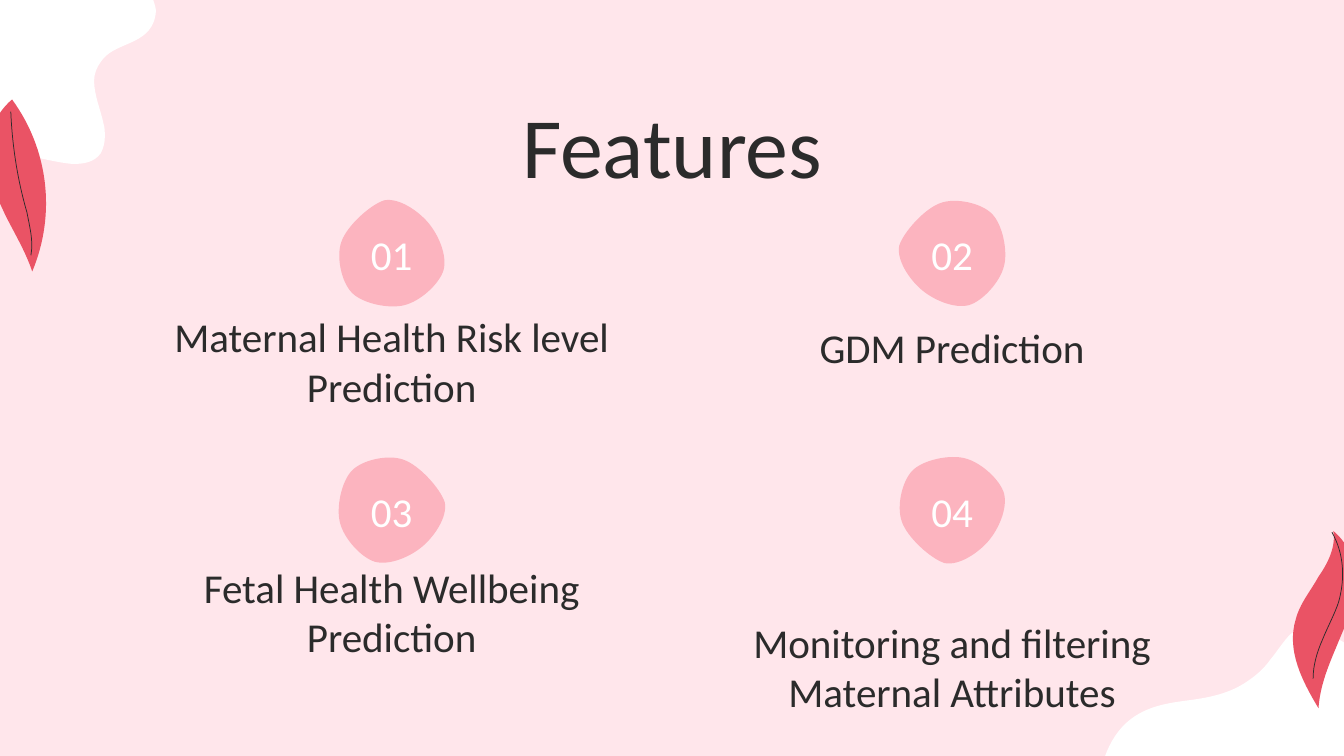
from math import cos, radians, sin

from lxml import etree
from pptx import Presentation, util as u
from pptx.dml.color import RGBColor
from pptx.enum import text
from pptx.oxml import ns

BLUSH = RGBColor(0xFF, 0xE6, 0xEB)
PINK = RGBColor(0xFC, 0xB4, 0xBF)
RED = RGBColor(0xEA, 0x53, 0x65)
INK = RGBColor(0x2B, 0x2B, 0x2B)
WHITE = RGBColor(0xFF, 0xFF, 0xFF)
INCH = 72

deck = Presentation()
deck.slide_width, deck.slide_height = u.Pt(720), u.Pt(405)
slide = deck.slides.add_slide(deck.slide_layouts[6])
slide.background.fill.solid()
slide.background.fill.fore_color.rgb = BLUSH


def draw_curve(parent, frame, angle, chain, fill=None, corners=()):
    left, top, width, height = [u.Pt(INCH * side) for side in frame]
    middle_x, middle_y = frame[0] + frame[2] / 2, frame[1] + frame[3] / 2
    turn_cos, turn_sin = cos(radians(angle)), sin(radians(angle))
    local = []
    for x, y in [*chain, *corners]:
        dx, dy = x - middle_x, y - middle_y
        local.append((u.Pt(INCH * (frame[2] / 2 + dx * turn_cos + dy * turn_sin)),
                      u.Pt(INCH * (frame[3] / 2 - dx * turn_sin + dy * turn_cos))))
    curves, lines = local[:len(chain)], local[len(chain):]
    builder = parent.shapes.build_freeform(*curves[0])
    builder.add_line_segments(curves[3::3] + lines, close=fill is not None)
    curve = builder.convert_to_shape()
    curve.left, curve.top, curve.width, curve.height = left, top, width, height
    curve.rotation = angle

    outline = next(curve._element.iter(ns.qn("a:path")))
    outline.clear()
    outline.set("w", str(width))
    outline.set("h", str(height))
    segments = [("a:moveTo", curves[:1])]
    segments += [("a:cubicBezTo", curves[i:i + 3]) for i in range(1, len(curves), 3)]
    segments += [("a:lnTo", [corner]) for corner in lines]
    if fill is not None:
        segments.append(("a:close", []))
    for tag, points in segments:
        segment = etree.SubElement(outline, ns.qn(tag))
        for x, y in points:
            etree.SubElement(segment, ns.qn("a:pt"), x=str(x), y=str(y))

    curve.shadow.inherit = False
    if fill is None:
        curve.fill.background()
        curve.line.color.rgb = INK
        curve.line.width = u.Pt(0.41)
    else:
        curve.fill.solid()
        curve.fill.fore_color.rgb = fill
        curve.line.fill.background()


def write(words, left, top, width, height, size, color, anchor):
    box = slide.shapes.add_textbox(u.Pt(left), u.Pt(top), u.Pt(width), u.Pt(height))
    frame = box.text_frame
    frame.text = words
    frame.word_wrap = True
    frame.vertical_anchor = anchor
    frame.margin_left = frame.margin_right = u.Pt(7.2)
    frame.margin_top = frame.margin_bottom = u.Pt(7.2)
    paragraph = frame.paragraphs[0]
    paragraph.alignment = text.PP_ALIGN.CENTER
    font = paragraph.runs[0].font
    font.name, font.size, font.color.rgb = "Calibri", u.Pt(size), color


draw_curve(slide, (-0.03, 0.03, 1.22, 1.16), 90,
           [(0.21, 1.16), (0.32, 1.18), (0.43, 1.21), (0.54, 1.22),
            (0.62, 1.22), (0.7, 1.21), (0.75, 1.14), (0.77, 1.1), (0.78, 1.06), (0.78, 1.02),
            (0.78, 0.98), (0.78, 0.95), (0.77, 0.92), (0.75, 0.82), (0.7, 0.71), (0.7, 0.6),
            (0.7, 0.55), (0.72, 0.5), (0.75, 0.46), (0.84, 0.32), (1.07, 0.34), (1.14, 0.17),
            (1.15, 0.15), (1.16, 0.11), (1.16, 0.08), (1.16, 0.06), (1.15, 0.03), (1.14, 0)],
           WHITE, [(0, 0), (0, 1.12)])
draw_curve(slide, (8.62, 4.25, 0.98, 1.78), 90,
           [(10, 4.78), (9.95, 4.75), (9.9, 4.73), (9.85, 4.71),
            (9.77, 4.68), (9.68, 4.65), (9.6, 4.72), (9.55, 4.77), (9.5, 4.85), (9.45, 4.91),
            (9.4, 4.98), (9.34, 5.03), (9.28, 5.07), (9.15, 5.16), (9, 5.19), (8.85, 5.21),
            (8.7, 5.23), (8.53, 5.25), (8.39, 5.37), (8.32, 5.43), (8.26, 5.52), (8.22, 5.63)],
           WHITE, [(10, 5.63)])

right_leaf = slide.shapes.add_group_shape()
draw_curve(right_leaf, (9.51, 4.02, 0.74, 1.16), 156.3,
           [(9.81, 5.27), (9.69, 5.07), (9.57, 4.84), (9.64, 4.61),
            (9.67, 4.49), (9.75, 4.4), (9.81, 4.29), (9.88, 4.19), (9.94, 4.07), (9.92, 3.95),
            (10.04, 4.05), (10.1, 4.21), (10.09, 4.37), (10.07, 4.53), (10, 4.67), (9.94, 4.82),
            (9.88, 4.96), (9.82, 5.11), (9.81, 5.27)], RED)
draw_curve(right_leaf, (9.56, 4.03, 0.58, 0.95), 156.3,
           [(9.77, 5.05), (9.77, 4.95), (9.8, 4.85), (9.84, 4.76),
            (9.88, 4.66), (9.93, 4.57), (9.96, 4.48), (10.01, 4.3), (10, 4.12), (9.91, 3.96)])

left_leaf = slide.shapes.add_group_shape()
draw_curve(left_leaf, (-0.08, 0.74, 0.48, 1.28), 175.4,
           [(0.24, 2.02), (0.19, 1.87), (0.11, 1.74), (0.04, 1.6),
            (-0.02, 1.47), (-0.09, 1.33), (-0.1, 1.17), (-0.11, 1.02), (-0.03, 0.84), (0.09, 0.74),
            (0.36, 1.11), (0.42, 1.59), (0.24, 2.02)], RED)
draw_curve(left_leaf, (0.12, 0.82, 0.1, 1.08), 175.4,
           [(0.23, 1.9), (0.25, 1.79), (0.22, 1.69), (0.2, 1.58),
            (0.13, 1.34), (0.09, 1.08), (0.08, 0.83)])

PEBBLE = 0.79
pebble = [(0.34, 0), (0.24, 0.03), (0.06, 0.19), (0.02, 0.31),
          (-0.02, 0.42), (0.02, 0.61), (0.1, 0.69), (0.18, 0.77), (0.38, 0.81), (0.49, 0.78),
          (0.61, 0.75), (0.75, 0.62), (0.78, 0.52), (0.81, 0.41), (0.74, 0.25), (0.66, 0.16),
          (0.59, 0.08), (0.45, -0.02), (0.34, 0)]
features = [
    ("Maternal Health Risk level Prediction", 197.5, 0, lambda x, y: (x, y)),
    ("GDM Prediction", 176.7, 270, lambda x, y: (y, x)),
    ("Fetal Health Wellbeing Prediction", 331.9, 90, lambda x, y: (PEBBLE - y, x)),
    ("Monitoring and filtering Maternal Attributes", 361.2, 180, lambda x, y: (x, PEBBLE - y)),
]

for index, (feature, feature_top, angle, turn) in enumerate(features):
    row, column = divmod(index, 2)
    left, top = 2.52 + 4.17 * column, 1.49 + 1.91 * row
    turned = [turn(x, y) for x, y in pebble]
    draw_curve(slide, (left, top, PEBBLE, PEBBLE), angle,
               [(left + x, top + y) for x, y in turned], PINK)
for index in range(len(features)):
    row, column = divmod(index, 2)
    write(f"{index + 1:02}", 184.3 + 300.2 * column, 113.4 + 137.6 * row, 51.1, 45.4,
          22, WHITE, text.MSO_ANCHOR.MIDDLE)
write("Features", 56.2, 42.5, 607.7, 56.9, 46, INK, text.MSO_ANCHOR.TOP)
for index, (feature, feature_top, angle, turn) in enumerate(features):
    write(feature, 84.2 + 300.2 * (index % 2), feature_top, 251.3, 29.5,
          22, INK, text.MSO_ANCHOR.BOTTOM)

deck.save("out.pptx")
